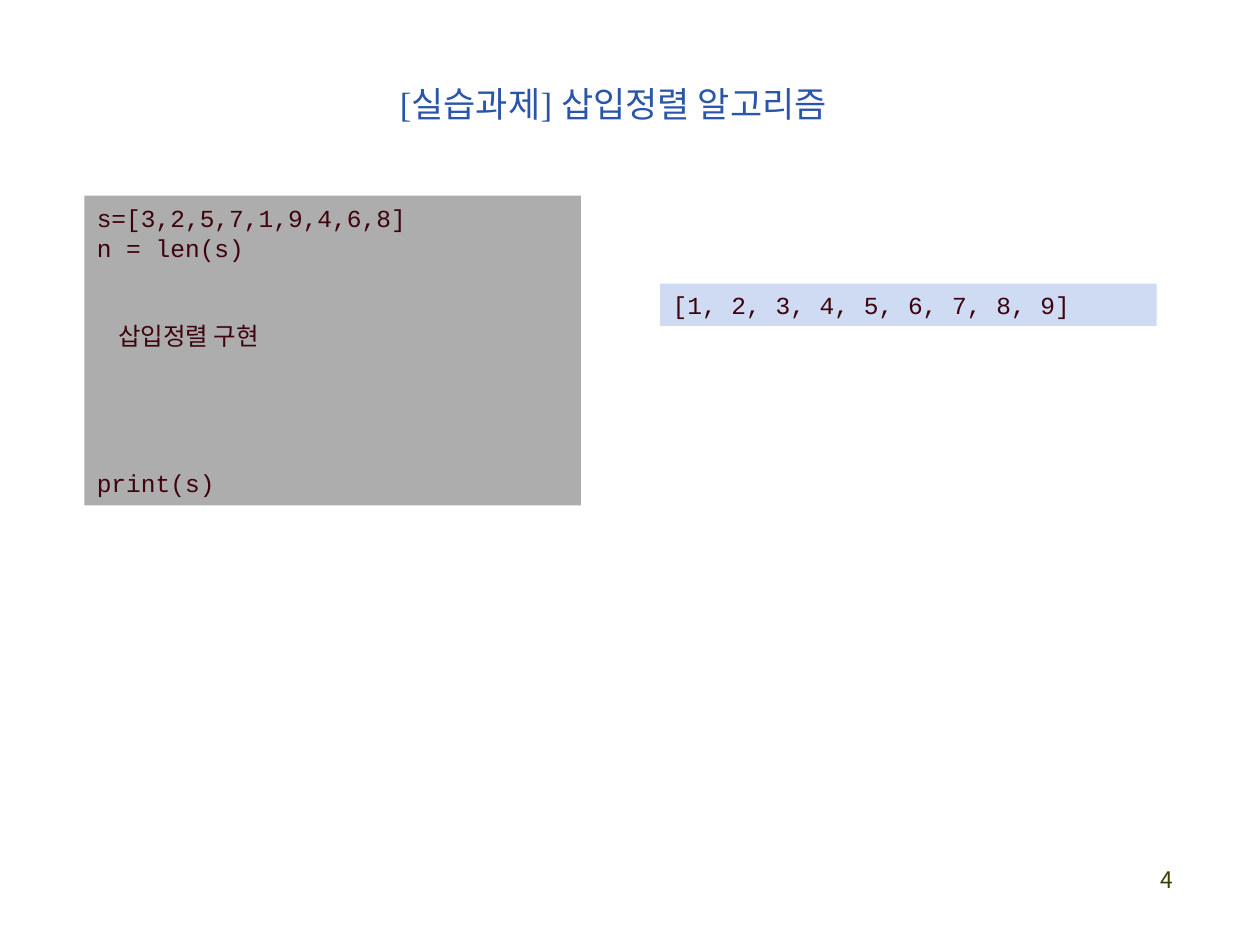
import pptx
import pptx.util
import pptx.dml.color
import pptx.enum.shapes
import pptx.enum.text
import lxml.etree

HUES = {"title": "2A55AA", "ink": "3E020C", "code": "ADADAD",
        "result": "CFDBF3", "page": "3F3E00"}
MONO, SERIF, HANGUL = "Courier New", "Times New Roman", "Noto Sans CJK KR"
PITCH = 16.8
ALIGN = pptx.enum.text.PP_ALIGN
ANCHOR = pptx.enum.text.MSO_ANCHOR


class Deck:
    def __init__(self, width, height):
        self.show = pptx.Presentation()
        self.show.slide_width = pptx.util.Inches(width)
        self.show.slide_height = pptx.util.Inches(height)
        self.slide = self.show.slides.add_slide(self.show.slide_layouts[5])

    def area(self, left, top, width, height):
        wide, high = self.show.slide_width, self.show.slide_height
        return (int(left * wide), int(top * high),
                int(width * wide), int(height * high))

    def hue(self, name):
        return pptx.dml.color.RGBColor.from_string(HUES[name])

    def style(self, para, face, size, hue, align=ALIGN.LEFT):
        para.alignment = align
        for run in para.runs:
            font = run.font
            font.name, font.size = face, pptx.util.Pt(size)
            font.color.rgb = self.hue(hue)
            tag = pptx.oxml.ns.qn("a:ea")
            lxml.etree.SubElement(font._element, tag).set("typeface", HANGUL)

    def title(self, text, *area):
        shape = self.slide.shapes.title
        shape.left, shape.top, shape.width, shape.height = self.area(*area)
        frame = shape.text_frame
        frame.text = text
        frame.vertical_anchor = ANCHOR.MIDDLE
        self.style(frame.paragraphs[0], SERIF, 20, "title", ALIGN.CENTER)

    def panel(self, lines, fill, *area):
        kind = pptx.enum.shapes.MSO_SHAPE.RECTANGLE
        shape = self.slide.shapes.add_shape(kind, *self.area(*area))
        shape.shadow.inherit = False
        shape.fill.solid()
        shape.fill.fore_color.rgb = self.hue(fill)
        shape.line.fill.background()
        frame = shape.text_frame
        frame.word_wrap = True
        frame.vertical_anchor = ANCHOR.MIDDLE
        frame.text = "\n".join(text for text, face, skip, inset in lines)
        for para, (text, face, skip, inset) in zip(frame.paragraphs, lines):
            para.line_spacing = pptx.util.Pt(PITCH)
            para.space_before = pptx.util.Pt(skip * PITCH)
            para._p.get_or_add_pPr().set("marL", str(pptx.util.Inches(inset)))
            self.style(para, face, 14, "ink")

    def page(self, text, *area):
        frame = self.slide.shapes.add_textbox(*self.area(*area)).text_frame
        frame.word_wrap = True
        frame.text = text
        self.style(frame.paragraphs[0], HANGUL, 13, "page", ALIGN.RIGHT)

    def save(self):
        self.show.save("out.pptx")


def main():
    deck = Deck(10, 7.5)
    deck.page("4", 0.733, 0.91, 0.208, 0.067)
    deck.panel([("s=[3,2,5,7,1,9,4,6,8]", MONO, 0, 0),
                ("n = len(s)", MONO, 0, 0),
                ("삽입정렬 구현", HANGUL, 2, 0.17),
                ("print(s)", MONO, 4, 0)],
               "code", 0.067, 0.207, 0.394, 0.328)
    deck.panel([("[1, 2, 3, 4, 5, 6, 7, 8, 9]", MONO, 0, 0)],
               "result", 0.524, 0.3, 0.394, 0.045)
    deck.title("[실습과제] 삽입정렬 알고리즘 ", 0.065, 0.059, 0.85, 0.1)
    deck.save()


if __name__ == "__main__":
    main()
